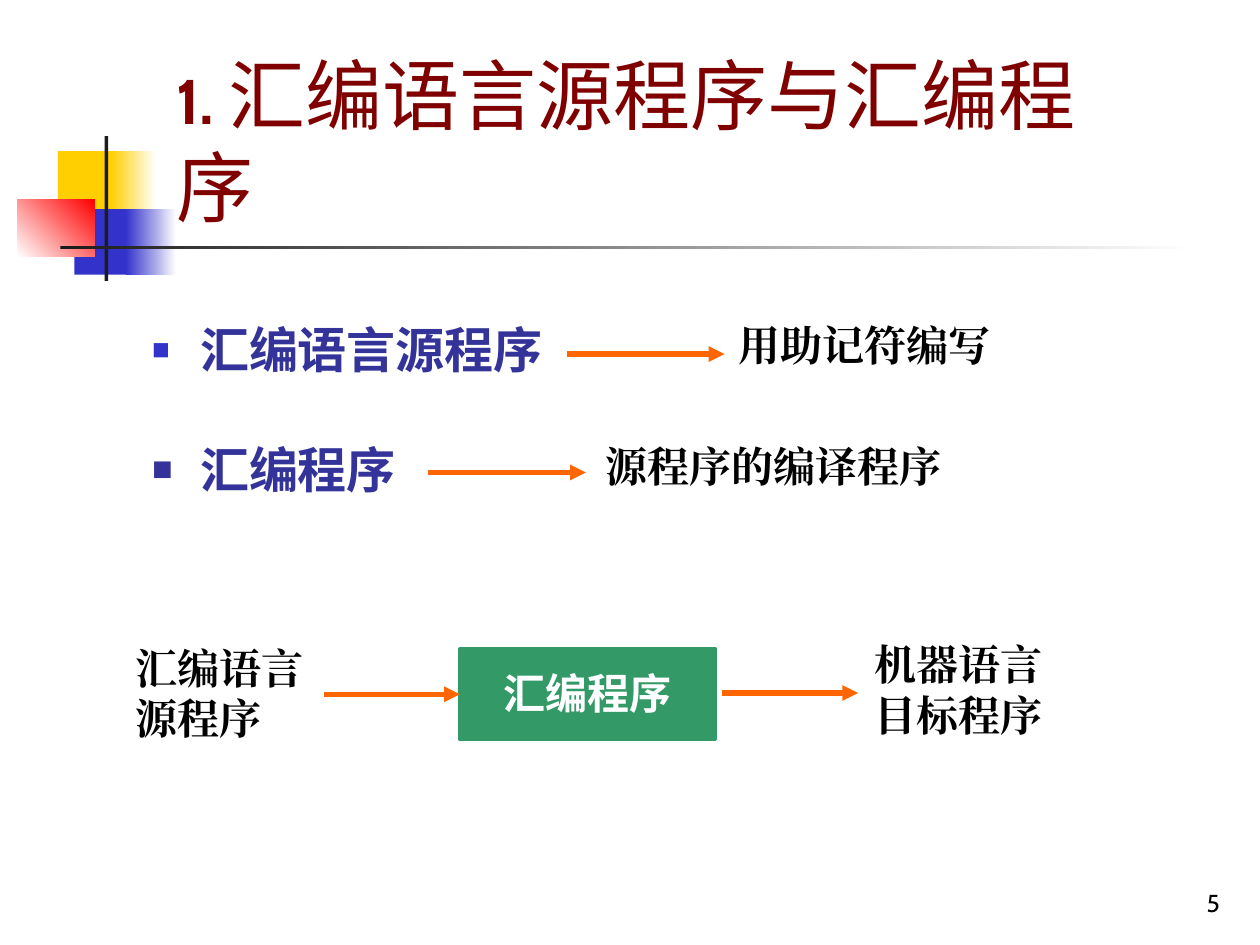
"""Build the slide on assembly source programs and the assembler."""
from dataclasses import dataclass
from typing import Optional

from lxml import etree
from pptx import Presentation
from pptx.dml.color import RGBColor
from pptx.enum.lang import MSO_LANGUAGE_ID
from pptx.enum.shapes import MSO_CONNECTOR, MSO_SHAPE
from pptx.enum.text import MSO_ANCHOR, MSO_AUTO_SIZE, PP_ALIGN
from pptx.oxml.ns import qn
from pptx.util import Pt

PX = 9144
RECTANGLE = MSO_SHAPE.RECTANGLE
STRAIGHT = MSO_CONNECTOR.STRAIGHT
LEFT, RIGHT = PP_ALIGN.LEFT, PP_ALIGN.RIGHT
TOP, BOTTOM = MSO_ANCHOR.TOP, MSO_ANCHOR.BOTTOM
NO_FIT, GROW = MSO_AUTO_SIZE.NONE, MSO_AUTO_SIZE.SHAPE_TO_FIT_TEXT
CHINESE = MSO_LANGUAGE_ID.SIMPLIFIED_CHINESE
LEFT_SIDE = 1
COLORS = {
    "white": "FFFFFF", "black": "000000", "ink": "1C1C1C",
    "yellow": "FFCF01", "blue": "3333CC", "red": "FF0000",
    "maroon": "800000", "indigo": "333399", "green": "339966",
    "orange": "FF6600",
}


@dataclass
class Block:
    left: int
    top: int
    width: int
    height: int
    color: str
    fade_to: Optional[str] = None
    angle: int = 0


@dataclass
class Label:
    text: str
    left: int
    top: int
    width: int
    height: int
    font: str = "Times New Roman"
    color: str = "black"
    before: int = 15
    size: int = 24
    bold: bool = True
    align: PP_ALIGN = LEFT
    anchor: MSO_ANCHOR = TOP
    fit: MSO_AUTO_SIZE = GROW


@dataclass
class Arrow:
    start: int
    end: int
    y: int


@dataclass
class Term:
    text: str
    before: float
    after: float
    bullet_color: str
    bullet_percent: int


ORNAMENT = [
    Block(46, 120, 48, 52, "yellow"),
    Block(88, 120, 36, 52, "yellow", "white"),
    Block(59, 166, 46, 52, "blue"),
    Block(100, 166, 40, 52, "blue", "white"),
    Block(14, 158, 61, 46, "white", "red", 45),
    Block(83, 108, 3, 115, "ink"),
    Block(48, 195, 900, 3, "ink", "white"),
]
ASSEMBLER = Block(365, 515, 203, 72, "green")
TERMS = [
    Term("汇编语言源程序", 7, 14, "blue", 60),
    Term("汇编程序", 17.5, 1.8, "indigo", 70),
]
LABELS = [
    Label("用助记符编写", 576, 249, 275, 50),
    Label("源程序的编译程序", 471, 345, 354, 50),
    Label("汇编语言源程序", 98, 505, 175, 90),
    Label("汇编程序", 390, 525, 208, 50, "Arial", "white", 6),
    Label("机器语言目标程序", 684, 502, 183, 90),
    Label("5", 770, 683, 208, 50, "Cabin", "black", 0, 14, False, RIGHT, BOTTOM, NO_FIT),
]
INTO_ASSEMBLER = Arrow(257, 365, 551)
ARROWS = [Arrow(450, 575, 281), Arrow(340, 465, 375), Arrow(573, 681, 550)]


def rgb(name: str) -> RGBColor:
    return RGBColor.from_string(COLORS[name])


def scaled(*lengths: int) -> list[int]:
    return [length * PX for length in lengths]


def set_all(target, values: dict) -> None:
    for attribute, value in values.items():
        setattr(target, attribute, value)


def add_run(paragraph, text: str, font: str, size: int, color: str, bold: bool) -> None:
    run = paragraph.add_run()
    run.text = text
    set_all(run.font, {"name": font, "size": Pt(size), "bold": bold, "language_id": CHINESE})
    run.font.color.rgb = rgb(color)
    latin = run.font._element.find(qn("a:latin"))
    east_asian = etree.Element(qn("a:ea"), typeface=font)
    latin.addnext(east_asian)


def add_block(slide, block: Block):
    shape = slide.shapes.add_shape(
        RECTANGLE, *scaled(block.left, block.top, block.width, block.height))
    shape.shadow.inherit = False
    shape.line.fill.background()
    if block.fade_to:
        shape.fill.gradient()
        shape.fill.gradient_angle = block.angle
        for stop, color in zip(shape.fill.gradient_stops, (block.color, block.fade_to)):
            stop.color.rgb = rgb(color)
    else:
        shape.fill.solid()
        shape.fill.fore_color.rgb = rgb(block.color)
    return shape


def add_label(slide, label: Label) -> None:
    box = slide.shapes.add_textbox(*scaled(label.left, label.top, label.width, label.height))
    set_all(box.text_frame, {
        "word_wrap": True, "auto_size": label.fit, "vertical_anchor": label.anchor})
    paragraph = box.text_frame.paragraphs[0]
    set_all(paragraph, {"alignment": label.align, "space_before": Pt(label.before)})
    add_run(paragraph, label.text, label.font, label.size, label.color, label.bold)


def add_arrow(slide, arrow: Arrow):
    connector = slide.shapes.add_connector(
        STRAIGHT, *scaled(arrow.start, arrow.y, arrow.end, arrow.y))
    connector.line.width = Pt(3)
    connector.line.color.rgb = rgb("orange")
    etree.SubElement(connector.line._get_or_add_ln(), qn("a:tailEnd"), type="triangle")
    etree.SubElement(connector._element.spPr, qn("a:effectLst"))
    return connector


def add_bullet(paragraph, term: Term) -> None:
    properties = paragraph._p.get_or_add_pPr()
    set_all(paragraph, {
        "line_spacing": 1.1, "space_before": Pt(term.before), "space_after": Pt(term.after)})
    for name, value in {"marL": 38 * PX, "indent": -38 * PX}.items():
        properties.set(name, str(value))
    color = etree.SubElement(properties, qn("a:buClr"))
    etree.SubElement(color, qn("a:srgbClr"), val=COLORS[term.bullet_color])
    etree.SubElement(properties, qn("a:buSzPct"), val=str(term.bullet_percent * 1000))
    etree.SubElement(properties, qn("a:buFont"), typeface="Arial")
    etree.SubElement(properties, qn("a:buChar"), char="■")


def add_terms(slide) -> None:
    frame = slide.shapes.add_textbox(*scaled(111, 244, 371, 186)).text_frame
    frame.word_wrap = True
    for index, term in enumerate(TERMS):
        paragraph = frame.add_paragraph() if index else frame.paragraphs[0]
        add_bullet(paragraph, term)
        add_run(paragraph, term.text, "Cabin", 28, "indigo", True)


def fill_title(title) -> None:
    left, top, width, height = scaled(130, 76, 795, 113)
    set_all(title, {"left": left, "top": top, "width": width, "height": height})
    set_all(title.text_frame, {
        "word_wrap": True, "auto_size": NO_FIT, "vertical_anchor": BOTTOM})
    heading = title.text_frame.paragraphs[0]
    heading.alignment = LEFT
    add_run(heading, "1. ", "Cabin", 36, "maroon", True)
    add_run(heading, "汇编语言源程序与汇编程序", "Cabin", 44, "maroon", False)


def main() -> None:
    deck = Presentation()
    deck.slide_width, deck.slide_height = scaled(1000, 750)
    slide = deck.slides.add_slide(deck.slide_layouts[5])
    fill_title(slide.shapes.title)
    for block in ORNAMENT:
        add_block(slide, block)
    add_terms(slide)
    assembler = add_block(slide, ASSEMBLER)
    assembler.line.color.rgb = rgb("green")
    assembler.line.width = Pt(2)
    for label in LABELS:
        add_label(slide, label)
    add_arrow(slide, INTO_ASSEMBLER).end_connect(assembler, LEFT_SIDE)
    for arrow in ARROWS:
        add_arrow(slide, arrow)
    deck.save("out.pptx")


if __name__ == "__main__":
    main()
